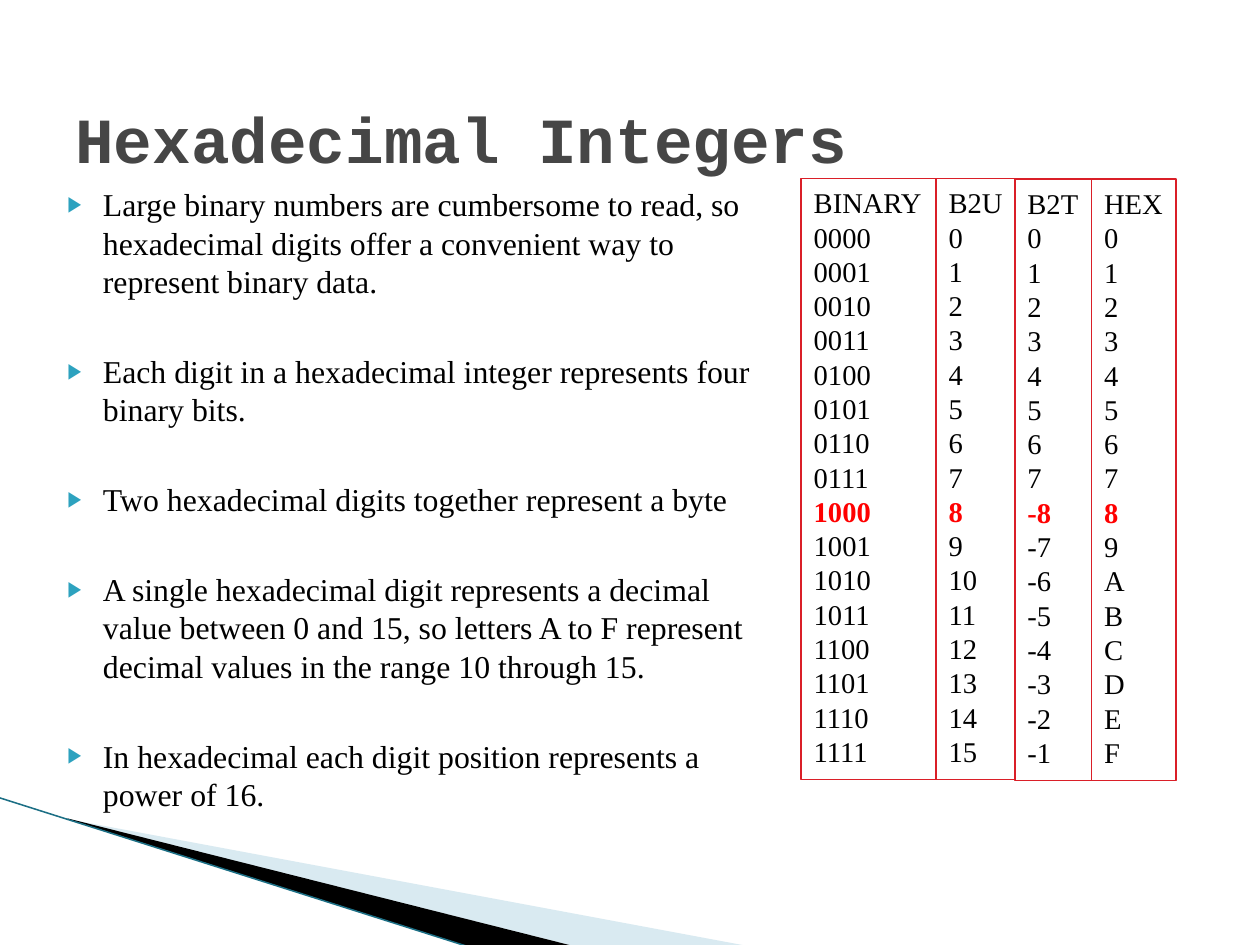
from dataclasses import dataclass
from itertools import accumulate
from typing import NamedTuple

from lxml.etree import SubElement
from pptx import Presentation
from pptx.dml.color import RGBColor
from pptx.enum.shapes import MSO_CONNECTOR, MSO_SHAPE
from pptx.enum.text import MSO_ANCHOR, MSO_AUTO_SIZE, PP_ALIGN
from pptx.oxml.ns import qn
from pptx.util import Emu, Inches, Pt


@dataclass(frozen=True)
class Theme:
    """Colours, fonts and type sizes of the slide."""
    ink: str = "000000"
    head: str = "464646"
    mark: str = "FF0000"
    rule: str = "DA1F28"
    bullet: str = "2DA2BF"
    pale: str = "A0CBDC"
    edge: str = "1C6F85"
    mono: str = "Courier New"
    serif: str = "Times New Roman"
    big: float = 40.5
    text: float = 20
    cell: float = 18
    lead: float = 1.2


class Box(NamedTuple):
    """A place on the grid of 100 columns and 100 rows."""
    left: float
    top: float
    width: float
    height: float


class Column(NamedTuple):
    """One column of number codes."""
    lines: list
    width: float
    drop: float = 0


class Wedge(NamedTuple):
    """A filled corner outline, in grid points."""
    points: list
    fill: str
    alpha: int


LOOK = Theme()
WIDE, HIGH = Emu(10080625), Emu(7559675)

TITLE = Box(4.99, 10.28, 89.98, 8.59)
BODY = Box(3.18, 18.87, 60.14, 71.49)
CODES = Box(63.59, 18.87, 29.75, 63.62)
MARKED = -8

POINTS = [
    "Large binary numbers are cumbersome to read, so hexadecimal digits "
    "offer a convenient way to represent binary data.",
    "Each digit in a hexadecimal integer represents four binary bits.",
    "Two hexadecimal digits together represent a byte",
    "A single hexadecimal digit represents a decimal value between 0 and 15, "
    "so letters A to F represent decimal values in the range 10 through 15.",
    "In hexadecimal each digit position represents a power of 16.",
]
COLUMNS = [
    Column(["BINARY\v0000", *(f"{n:04b}" for n in range(1, 16))], 10.7),
    Column(["B2U", *map(str, range(16))], 6.26),
    Column(["B2T", *map(str, range(8)), *map(str, range(-8, 0))], 6.08, 0.1),
    Column(["HEX", *(f"{n:X}" for n in range(16))], 6.71, 0.1),
]
WEDGES = [
    Wedge([(5.44, 86.7), (59.5, 100.15), (45.63, 100.15)], LOOK.pale, 40),
    Wedge([(5.35, 86.6), (45.63, 100.15), (37.19, 100.15), (5.44, 86.7)],
          LOOK.ink, 100),
]
EDGE = [(-0.09, 84.4), (37.1, 100.15)]


def spot(x: float, y: float) -> tuple[int, int]:
    """Turn grid units into slide lengths."""
    return round(WIDE * x / 100), round(HIGH * y / 100)


def place(shape, box: Box) -> None:
    """Move and size a shape to its box."""
    shape.left, shape.top = spot(box.left, box.top)
    shape.width, shape.height = spot(box.width, box.height)


def add_bullet(para) -> None:
    """Give a paragraph a hanging triangle bullet."""
    props = para._p.get_or_add_pPr()
    props.set("marL", str(Inches(0.44)))
    props.set("indent", str(Inches(-0.31)))
    tint = SubElement(props, qn("a:buClr"))
    SubElement(tint, qn("a:srgbClr"), val=LOOK.bullet)
    SubElement(props, qn("a:buSzPct"), val="68000")
    SubElement(props, qn("a:buChar"), char="▶")


def write(frame, lines: list, *, size: float, font: str = LOOK.serif,
          color: str = LOOK.ink, bold: bool = False, gap: float = 0,
          lead: float = LOOK.lead, wrap: bool = True, bullet: bool = False,
          marked: int | None = None, anchor=MSO_ANCHOR.TOP) -> None:
    """Fill a text frame, one paragraph a line; marked counts from the end."""
    frame.auto_size, frame.word_wrap = MSO_AUTO_SIZE.NONE, wrap
    frame.vertical_anchor = anchor
    frame.margin_left = frame.margin_right = Inches(0.11)
    frame.margin_top = frame.margin_bottom = Inches(0.06)
    for i, line in enumerate(lines):
        para = frame.paragraphs[0] if i == 0 else frame.add_paragraph()
        para.text = line
        para.alignment = PP_ALIGN.LEFT
        para.line_spacing = Pt(size * lead)
        para.space_before = Pt(gap if i else 0)
        if bullet:
            add_bullet(para)
        hit = i - len(lines) == marked
        tint = LOOK.mark if hit else color
        for run in para.runs:
            run.font.name, run.font.size = font, Pt(size)
            run.font.bold = bold or hit
            run.font.color.rgb = RGBColor.from_string(tint)


def draw_wedge(shapes, wedge: Wedge) -> None:
    """Draw one corner wedge."""
    first, *rest = [spot(*point) for point in wedge.points]
    pen = shapes.build_freeform(*first)
    pen.add_line_segments(rest, close=True)
    shape = pen.convert_to_shape()
    shape.shadow.inherit = False
    shape.line.fill.background()
    shape.fill.solid()
    shape.fill.fore_color.rgb = RGBColor.from_string(wedge.fill)
    if wedge.alpha < 100:
        tint = shape._element.spPr.find(".//" + qn("a:srgbClr"))
        SubElement(tint, qn("a:alpha"), val=str(wedge.alpha * 1000))


def draw_edge(shapes) -> None:
    """Draw the thin line along the wedges."""
    start, end = [spot(*point) for point in EDGE]
    line = shapes.add_connector(MSO_CONNECTOR.STRAIGHT, *start, *end)
    line.line.color.rgb = RGBColor.from_string(LOOK.edge)
    line.line.width = Pt(0.95)
    SubElement(line._element.spPr, qn("a:effectLst"))


def draw_column(shapes, column: Column, left: float) -> None:
    """Draw one framed column of codes."""
    shape = shapes.add_shape(MSO_SHAPE.RECTANGLE, 0, 0, 0, 0)
    place(shape, CODES._replace(left=left, top=CODES.top + column.drop,
                                width=column.width))
    shape.shadow.inherit = False
    shape.fill.background()
    shape.line.color.rgb = RGBColor.from_string(LOOK.rule)
    shape.line.width = Pt(1)
    write(shape.text_frame, column.lines, size=LOOK.cell, wrap=False,
          marked=MARKED)


def main() -> None:
    """Build and save the slide."""
    deck = Presentation()
    deck.slide_width, deck.slide_height = WIDE, HIGH
    slide = deck.slides.add_slide(deck.slide_layouts[1])
    shapes = slide.shapes
    title, body = shapes.title, slide.placeholders[1]
    place(title, TITLE)
    write(title.text_frame, ["Hexadecimal Integers"], size=LOOK.big,
          font=LOOK.mono, color=LOOK.head, bold=True, lead=1.19,
          anchor=MSO_ANCHOR.MIDDLE)
    place(body, BODY)
    write(body.text_frame, POINTS, size=LOOK.text, gap=32.8, bullet=True)
    for wedge in WEDGES:
        draw_wedge(shapes, wedge)
    draw_edge(shapes)
    lefts = accumulate((c.width for c in COLUMNS), initial=CODES.left)
    for column, left in zip(COLUMNS, lefts):
        draw_column(shapes, column, left)
    deck.save("out.pptx")


main()
